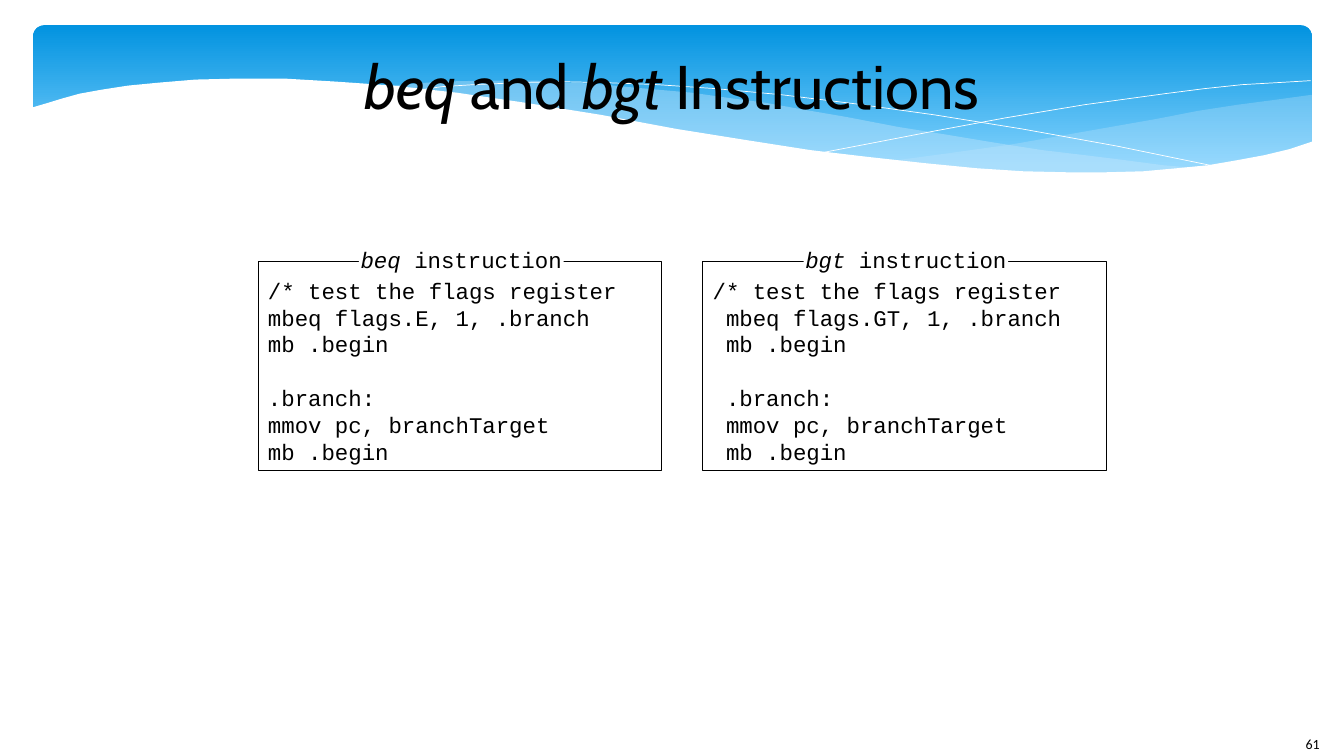
from lxml import etree
from pptx import Presentation
from pptx.dml.color import RGBColor
from pptx.enum.shapes import MSO_SHAPE as Shape
from pptx.enum.text import MSO_ANCHOR as Anchor, PP_ALIGN as Align
from pptx.oxml.ns import qn
from pptx.util import Inches, Pt

BLACK = RGBColor(0x00, 0x00, 0x00)
WHITE = RGBColor(0xFF, 0xFF, 0xFF)
SKY_TOP = RGBColor(0x02, 0x93, 0xE0)
SKY_BOTTOM = RGBColor(0x83, 0xD3, 0xFE)
PALE_BLUE = RGBColor(0xC6, 0xE7, 0xFC)

CODE_FONT = "Courier New"
CODE_SIZE = 16
CODE_PITCH = Pt(19.15)

# Outlines of the banner waves, in inches
RIGHT_WAVE = [
    (13.01, 0.94), (12.65, 0.99), (12.27, 1.04), (11.88, 1.1), (11.47, 1.18),
    (10.73, 1.31), (10.05, 1.43), (9.41, 1.52), (8.82, 1.6), (9.21, 1.64),
    (9.58, 1.67), (9.93, 1.69), (10.25, 1.71), (10.56, 1.72), (10.99, 1.72),
    (11.38, 1.7), (11.74, 1.67), (12.07, 1.63), (12.38, 1.58), (12.66, 1.52),
    (13.01, 1.42),
]
MIDDLE_WAVE = [
    (11.9, 1.67), (11.54, 1.64), (11.16, 1.59), (10.76, 1.54), (10.34, 1.49),
    (9.89, 1.42), (9.41, 1.34), (8.91, 1.26), (8.39, 1.16), (7.98, 1.09),
    (7.59, 1.02), (7.21, 0.97), (6.86, 0.92), (6.52, 0.89), (6.19, 0.86),
    (5.89, 0.83), (5.6, 0.82), (5.32, 0.8), (4.82, 0.8), (4.37, 0.81),
    (3.99, 0.84), (3.82, 0.86), (4.31, 0.9), (4.83, 0.97), (5.39, 1.06),
    (5.99, 1.16), (6.54, 1.26), (7.06, 1.35), (7.55, 1.43), (8.02, 1.5),
    (8.46, 1.56), (8.87, 1.61), (9.26, 1.65), (9.63, 1.68), (9.98, 1.7),
    (10.3, 1.72), (10.76, 1.73), (11.18, 1.72), (11.56, 1.7),
]
FALLING_LINE = [
    (4.12, 0.9), (4.38, 0.86), (4.7, 0.84), (5.16, 0.82), (5.55, 0.81),
    (6, 0.82), (6.52, 0.84), (7.1, 0.88), (7.75, 0.94), (8.48, 1.03),
    (9.27, 1.14), (10.14, 1.28), (11.08, 1.45), (12.1, 1.66),
]
RISING_LINE = [
    (8.18, 1.51), (8.7, 1.41), (9.27, 1.3), (9.97, 1.17), (10.75, 1.04),
    (11.55, 0.93), (11.94, 0.88), (12.32, 0.84), (12.67, 0.82), (13, 0.8),
]
WHITE_WAVE = [
    (13.03, 1.4), (12.79, 1.48), (12.54, 1.54), (12.27, 1.59), (11.98, 1.64),
    (11.67, 1.67), (11.34, 1.7), (10.97, 1.71), (10.58, 1.71), (10.15, 1.7),
    (9.69, 1.67), (9.18, 1.62), (8.63, 1.56), (8.04, 1.49), (7.4, 1.39),
    (6.71, 1.28), (5.96, 1.14), (5.21, 1.02), (4.53, 0.92), (3.9, 0.85),
    (3.33, 0.81), (2.82, 0.78), (2.35, 0.78), (1.94, 0.79), (1.58, 0.82),
    (1.27, 0.85), (1.01, 0.89), (0.79, 0.93), (0.61, 0.98), (0.48, 1.02),
    (0.31, 1.07), (0.31, 2.24), (13.03, 2.24),
]

BEQ_CODE = ["/* test the flags register", "mbeq flags.E, 1, .branch", "mb .begin",
            ".branch:", "mmov pc, branchTarget", "mb .begin"]
BGT_CODE = ["/* test the flags register", " mbeq flags.GT, 1, .branch", " mb .begin",
            " .branch:", " mmov pc, branchTarget", " mb .begin"]


def paint(shape, fill=None, line=None, alpha=None):
    """Set fill, outline and opacity (percent) and drop the shadow."""
    shape.shadow.inherit = False
    if fill is None:
        shape.fill.background()
    else:
        shape.fill.solid()
        shape.fill.fore_color.rgb = fill
    if alpha is not None:
        color = shape.fill._xPr.find(".//" + qn("a:srgbClr"))
        etree.SubElement(color, qn("a:alpha")).set("val", str(alpha * 1000))
    if line is None:
        shape.line.fill.background()
    else:
        shape.line.color.rgb = line
        shape.line.width = Pt(0.5)


def add_shape(slide, kind, left, top, width, height):
    return slide.shapes.add_shape(
        kind, Inches(left), Inches(top), Inches(width), Inches(height))


def add_outline(slide, points, closed=True, **look):
    start, *rest = [(Inches(x), Inches(y)) for x, y in points]
    builder = slide.shapes.build_freeform(*start)
    builder.add_line_segments(rest, close=closed)
    paint(builder.convert_to_shape(), **look)


def add_text_frame(slide, left, top, width, height, wrap=True):
    box = slide.shapes.add_textbox(
        Inches(left), Inches(top), Inches(width), Inches(height))
    box.text_frame.word_wrap = wrap
    return box.text_frame


def add_runs(paragraph, runs, font, size, align=Align.LEFT):
    """Fill a paragraph from (text, italic) pairs."""
    paragraph.alignment = align
    for text, italic in runs:
        run = paragraph.add_run()
        run.text = text
        run.font.name = font
        run.font.size = Pt(size)
        run.font.italic = italic
        run.font.color.rgb = BLACK


def add_banner(slide):
    sky = add_shape(slide, Shape.ROUNDED_RECTANGLE, 0.33, 0.25, 12.68, 1.56)
    sky.adjustments[0] = 0.07
    paint(sky)
    sky.fill.gradient()
    sky.fill.gradient_angle = 270
    for stop, color, position in zip(
            sky.fill.gradient_stops, (SKY_TOP, SKY_BOTTOM), (0, 0.9)):
        stop.color.rgb = color
        stop.position = position
    add_outline(slide, RIGHT_WAVE, fill=PALE_BLUE, alpha=29)
    add_outline(slide, MIDDLE_WAVE, fill=PALE_BLUE, alpha=40)
    add_outline(slide, FALLING_LINE, closed=False, line=WHITE)
    add_outline(slide, RISING_LINE, closed=False, line=WHITE)
    add_outline(slide, WHITE_WAVE, fill=WHITE)


def add_title(slide):
    title = add_text_frame(slide, 2.61, 0.33, 8.11, 1.02)
    title.vertical_anchor = Anchor.MIDDLE
    title.margin_left = title.margin_right = 0
    title.margin_top = title.margin_bottom = 0
    runs = [("beq", True), (" and ", False), ("bgt", True), (" Instructions", False)]
    add_runs(title.paragraphs[0], runs, "Cabin", 44, Align.CENTER)


def add_code_panel(slide, left, mnemonic, code):
    # Frame with a break in its top edge for the caption
    paint(add_shape(slide, Shape.RECTANGLE, left, 2.59, 4, 2.08), line=BLACK)
    paint(add_shape(slide, Shape.RECTANGLE, left + 1, 2.58, 2.03, 0.05), fill=WHITE)
    caption = add_text_frame(slide, left + 0.9, 2.39, 2.23, 0.37, wrap=False)
    add_runs(caption.paragraphs[0], [(mnemonic + " ", True), ("instruction", False)],
             CODE_FONT, CODE_SIZE, Align.CENTER)

    # Code, one paragraph a line, with a gap before the label
    listing = add_text_frame(slide, left, 2.7, 4, 1.99)
    for number, line in enumerate(code):
        paragraph = listing.add_paragraph() if number else listing.paragraphs[0]
        add_runs(paragraph, [(line, False)], CODE_FONT, CODE_SIZE)
        paragraph.line_spacing = CODE_PITCH
        if line.strip() == ".branch:":
            paragraph.space_before = CODE_PITCH


def main():
    deck = Presentation()
    deck.slide_width, deck.slide_height = Inches(13.33), Inches(7.5)
    slide = deck.slides.add_slide(deck.slide_layouts[6])

    add_banner(slide)
    page_number = add_text_frame(slide, 12.85, 7.25, 0.48, 0.25)
    add_runs(page_number.paragraphs[0], [("61", False)], "Calibri", 10)
    add_title(slide)
    add_code_panel(slide, 2.56, "beq", BEQ_CODE)
    add_code_panel(slide, 6.97, "bgt", BGT_CODE)

    deck.save("out.pptx")


if __name__ == "__main__":
    main()
